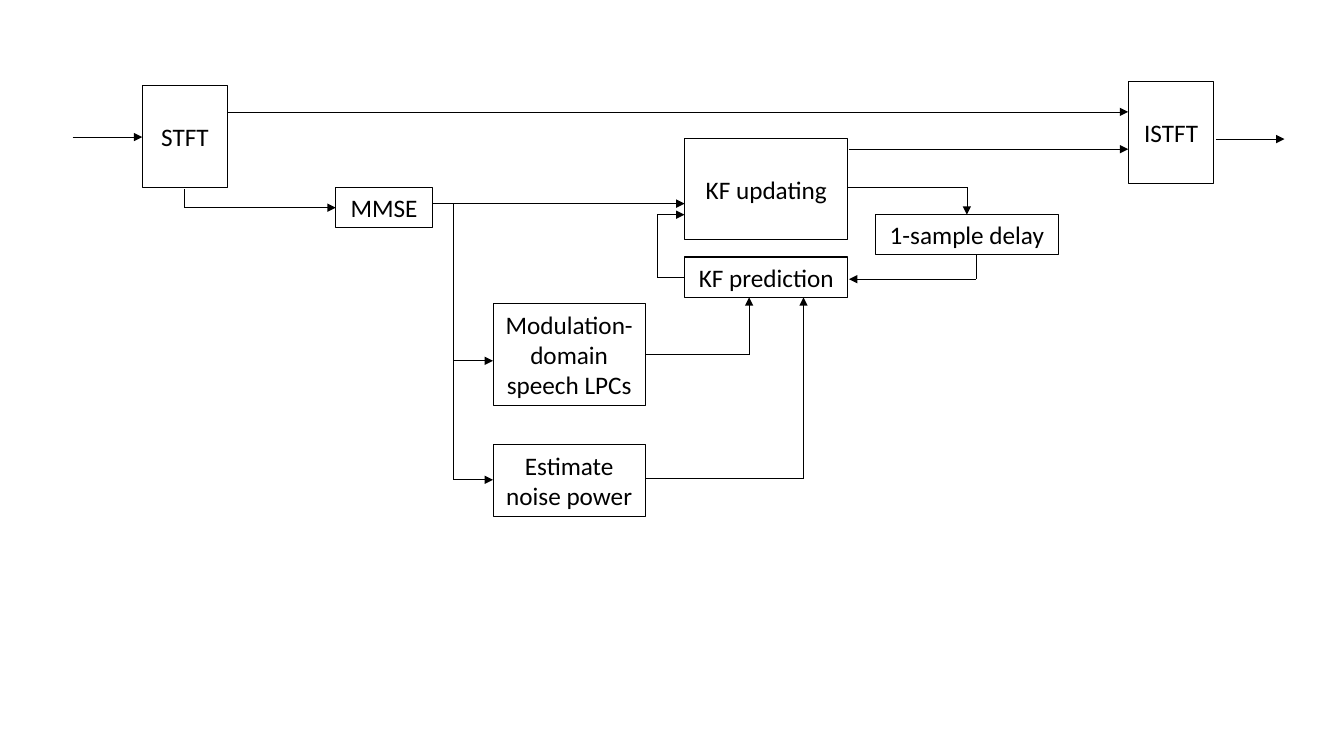
from dataclasses import dataclass
from itertools import pairwise

from lxml.etree import SubElement
from pptx import Presentation
from pptx.dml.color import RGBColor as Rgb
from pptx.enum.shapes import MSO_CONNECTOR as Conn, MSO_SHAPE as Kind
from pptx.enum.text import MSO_ANCHOR as Anchor, PP_ALIGN as Align
from pptx.oxml.ns import qn
from pptx.util import Inches, Pt

COLORS = {"ink": "000000"}
INK = Rgb.from_string(COLORS["ink"])
FONT = {"name": "Calibri", "size": Pt(18)}
FRAME = {"word_wrap": True, "vertical_anchor": Anchor.MIDDLE}


@dataclass
class Block:
    text: str
    left: float
    top: float
    width: float
    height: float


@dataclass
class Wire:
    points: list[tuple[float, float]]
    arrow: bool = True


BLOCKS = [
    Block("STFT", 1.41, 0.85, 0.85, 1.01),
    Block("MMSE", 3.33, 1.86, 0.96, 0.4),
    Block("Modulation-domain speech LPCs", 4.89, 3.01, 1.51, 1.01),
    Block("Estimate noise power", 4.89, 4.41, 1.51, 0.71),
    Block("KF updating", 6.79, 1.37, 1.62, 1.01),
    Block("KF prediction", 6.79, 2.55, 1.62, 0.4),
    Block("1-sample delay", 8.68, 2.13, 1.82, 0.4),
    Block("ISTFT", 11.19, 0.81, 0.85, 1.01),
]

WIRES = [
    # Input, phase and output
    Wire([(0.72, 1.36), (1.41, 1.36)]),
    Wire([(2.26, 1.11), (11.19, 1.11)]),
    Wire([(8.42, 1.48), (11.19, 1.48)]),
    Wire([(12.06, 1.38), (12.74, 1.38)]),
    # Through MMSE to the filter, with a branch down
    Wire([(1.83, 1.88), (1.83, 2.06), (3.33, 2.06)]),
    Wire([(4.29, 2.02), (6.79, 2.02)]),
    Wire([(4.5, 2.02), (4.5, 4.76), (4.89, 4.76)]),
    Wire([(4.5, 3.58), (4.89, 3.58)]),
    # Estimates into the prediction
    Wire([(6.4, 3.52), (7.43, 3.52), (7.43, 2.95)]),
    Wire([(6.4, 4.75), (7.97, 4.75), (7.97, 2.95)]),
    # Filter loop
    Wire([(6.79, 2.75), (6.52, 2.75), (6.52, 2.13), (6.79, 2.13)]),
    Wire([(8.41, 1.86), (9.59, 1.86), (9.59, 2.13)]),
    Wire([(9.68, 2.53), (9.68, 2.77), (8.42, 2.77)]),
]


def style(item: object, values: dict) -> None:
    for key, value in values.items():
        setattr(item, key, value)


def draw_block(shapes, block: Block) -> None:
    area = (block.left, block.top, block.width, block.height)
    box = shapes.add_shape(Kind.RECTANGLE, *map(Inches, area))
    box.shadow.inherit = False
    box.fill.background()
    box.line.color.rgb = INK
    box.line.width = Pt(0.75)
    frame = box.text_frame
    style(frame, FRAME)
    para = frame.paragraphs[0]
    para.alignment = Align.CENTER
    run = para.add_run()
    run.text = block.text
    style(run.font, FONT)
    run.font.color.rgb = INK


def draw_wire(shapes, wire: Wire) -> None:
    for start, end in pairwise(wire.points):
        line = shapes.add_connector(Conn.STRAIGHT, *map(Inches, start + end))
        line.line.color.rgb = INK
        line.line.width = Pt(0.5)
        props = line._element.spPr
        SubElement(props, qn("a:effectLst"))
        if wire.arrow and end == wire.points[-1]:
            SubElement(props.find(qn("a:ln")), qn("a:tailEnd"), type="triangle")


def main() -> None:
    deck = Presentation()
    style(deck, {"slide_width": Inches(13.33), "slide_height": Inches(7.5)})
    shapes = deck.slides.add_slide(deck.slide_layouts[6]).shapes
    for block in BLOCKS:
        draw_block(shapes, block)
    for wire in WIRES:
        draw_wire(shapes, wire)
    deck.save("out.pptx")


if __name__ == "__main__":
    main()
